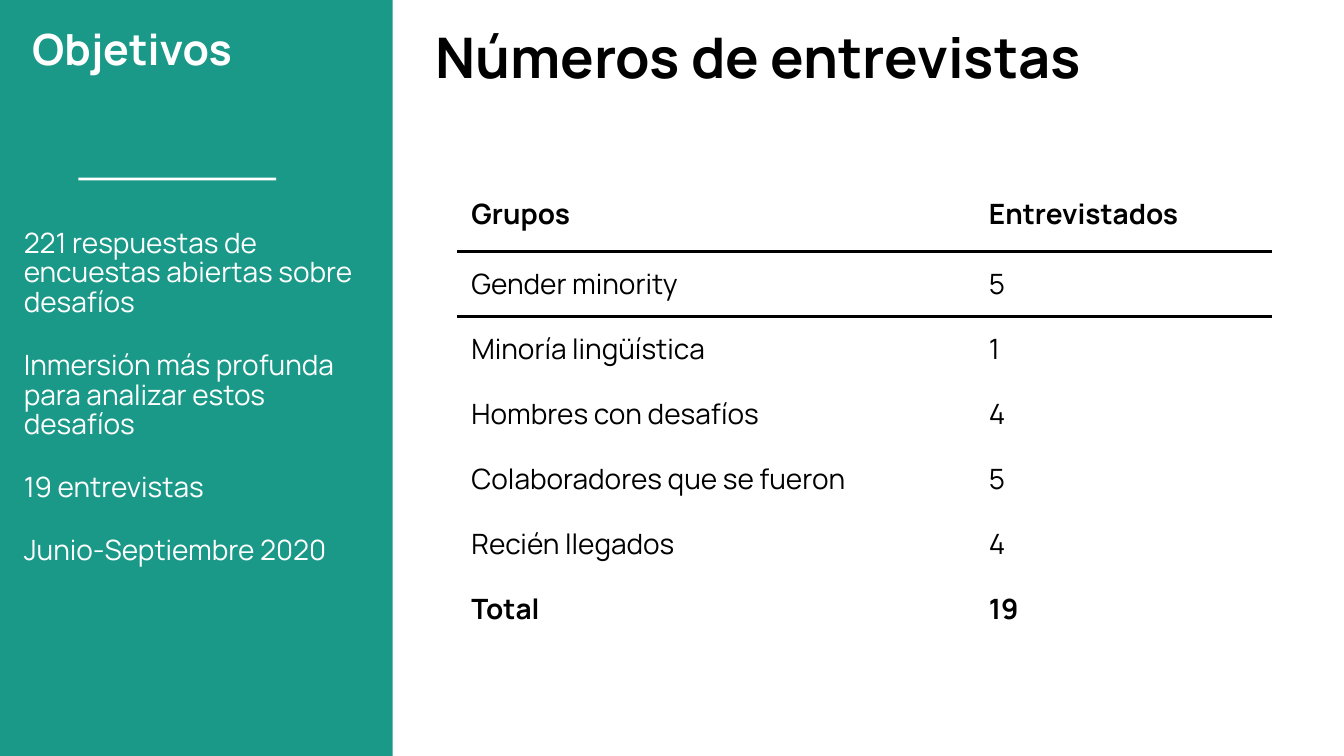
"""Build the interview numbers slide with a green objectives sidebar."""
from lxml.etree import SubElement
from pptx import Presentation
from pptx.dml.color import RGBColor
from pptx.enum.shapes import MSO_SHAPE
from pptx.oxml.ns import qn
from pptx.util import Cm, Pt

GREEN, WHITE, BLACK = "1A9988", "FFFFFF", "000000"
INSET = Cm(0.25)


def color(value):
    return RGBColor.from_string(value)


def fill_text(text_frame, text, size, text_color, bold):
    text_frame.text = text
    text_frame.word_wrap = True
    text_frame.margin_left = text_frame.margin_right = INSET
    text_frame.margin_top = text_frame.margin_bottom = INSET
    for paragraph in text_frame.paragraphs:
        for run in paragraph.runs:
            run.font.name = "Manrope"
            run.font.size = Pt(size)
            run.font.bold = bold
            run.font.color.rgb = color(text_color)


presentation = Presentation()
presentation.slide_width = Cm(25.4)
presentation.slide_height = Cm(14.29)
slide = presentation.slides.add_slide(presentation.slide_layouts[6])
slide.background.fill.solid()
slide.background.fill.fore_color.rgb = color(GREEN)

panels = [(7.42, 0, 17.98, 14.29), (1.48, 3.36, 3.74, 0.05)]
for left, top, width, height in panels:
    shape = slide.shapes.add_shape(
        MSO_SHAPE.RECTANGLE, Cm(left), Cm(top), Cm(width), Cm(height))
    shape.shadow.inherit = False
    shape.fill.solid()
    shape.fill.fore_color.rgb = color(WHITE)
    shape.line.fill.background()

objectives = "\n".join([
    "221 respuestas de encuestas abiertas sobre desafíos",
    "Inmersión más profunda para analizar estos desafíos",
    "19 entrevistas",
    "Junio-Septiembre 2020",
])
texts = [
    ("Objetivos", 0.36, 0.18, 6.8, 2.8, 23, WHITE, True),
    ("Números de entrevistas", 7.98, 0.18, 16.54, 2.03, 30, BLACK, True),
    (objectives, 0.2, 4.09, 7.06, 7.14, 15, WHITE, False),
]
for text, left, top, width, height, size, text_color, bold in texts:
    text_box = slide.shapes.add_textbox(Cm(left), Cm(top), Cm(width), Cm(height))
    fill_text(text_box.text_frame, text, size, text_color, bold)

for paragraph in text_box.text_frame.paragraphs:
    paragraph.line_spacing = 0.88
for paragraph in text_box.text_frame.paragraphs[1:]:
    paragraph.space_before = Pt(18)

rows = [
    ("Grupos", "Entrevistados"),
    ("Gender minority", "5"),
    ("Minoría lingüística", "1"),
    ("Hombres con desafíos", "4"),
    ("Colaboradores que se fueron", "5"),
    ("Recién llegados", "4"),
    ("Total", "19"),
]
table = slide.shapes.add_table(
    len(rows), 2, Cm(8.66), Cm(3.43), Cm(15.37), Cm(8.7)).table
table.first_row = False
table.horz_banding = False
table.columns[0].width = Cm(9.78)
table.columns[1].width = Cm(5.59)
header_borders = {0: "a:lnB", 1: "a:lnT"}
for row_index, values in enumerate(rows):
    table.rows[row_index].height = Cm(1.32 if row_index == 0 else 1.23)
    for column_index, value in enumerate(values):
        cell = table.cell(row_index, column_index)
        fill_text(cell.text_frame, value, 15, BLACK, row_index in (0, len(rows) - 1))
        cell.margin_left = cell.margin_right = INSET
        cell.margin_top = cell.margin_bottom = INSET
        if row_index in header_borders:
            properties = cell._tc.get_or_add_tcPr()
            border = SubElement(
                properties, qn(header_borders[row_index]), w=str(Pt(1.5)))
            border_fill = SubElement(border, qn("a:solidFill"))
            SubElement(border_fill, qn("a:srgbClr"), val=BLACK)
        cell.fill.background()

presentation.save("out.pptx")
